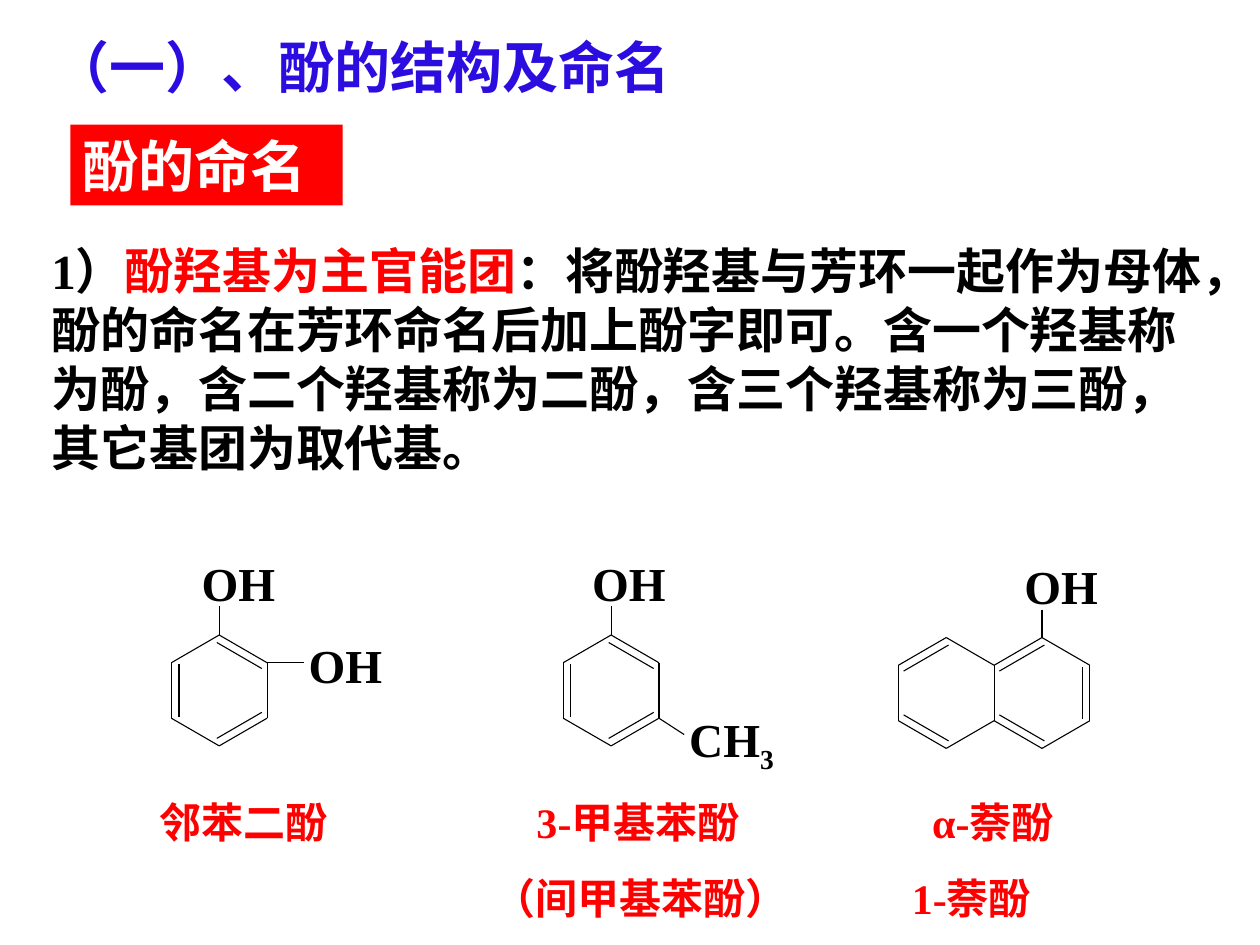
from lxml.etree import SubElement
from pptx import Presentation
from pptx.dml.color import RGBColor
from pptx.enum.shapes import MSO_CONNECTOR as Conn, MSO_SHAPE as Shape
from pptx.enum.text import PP_ALIGN as Align
from pptx.oxml.ns import qn
from pptx.util import Inches, Pt

BLUE = RGBColor(0x2B, 0x0D, 0xDF)
RED = RGBColor(0xFF, 0, 0)
WHITE = RGBColor(0xFF, 0xFF, 0xFF)
BLACK = RGBColor(0, 0, 0)

prs = Presentation()
prs.slide_width, prs.slide_height = Inches(10), Inches(7.5)
slide = prs.slides.add_slide(prs.slide_layouts[6])
shapes = slide.shapes


def style(para, size, color):
    font = para.font
    font.name, font.size, font.bold = "Times New Roman", Pt(size), True
    font.color.rgb = color


def line(x1, y1, x2, y2):
    bond = shapes.add_connector(
        Conn.STRAIGHT, Inches(x1), Inches(y1), Inches(x2), Inches(y2))
    bond.line.color.rgb = BLACK
    bond.line.width = Pt(0.62)
    SubElement(bond._element.spPr, qn("a:effectLst"))


# Title
box = shapes.add_textbox(Inches(0.33), Inches(0.21), Inches(6.08), Inches(0.64))
box.text_frame.word_wrap = True
para = box.text_frame.paragraphs[0]
para.text = "（一）、酚的结构及命名"
para.alignment = Align.JUSTIFY
style(para, 32, BLUE)

# Red heading
head = shapes.add_shape(
    Shape.RECTANGLE, Inches(0.56), Inches(0.99), Inches(2.16), Inches(0.64))
head.shadow.inherit = False
head.fill.solid()
head.fill.fore_color.rgb = RED
head.line.fill.background()
para = head.text_frame.paragraphs[0]
para.text = "酚的命名"
para.alignment = Align.LEFT
style(para, 32, WHITE)

# Naming rule
box = shapes.add_textbox(Inches(0.31), Inches(1.86), Inches(9.33), Inches(1.97))
box.text_frame.word_wrap = True
para = box.text_frame.paragraphs[0]
style(para, 28, BLACK)
for text, color in [
    ("1）", BLACK),
    ("酚羟基为主官能团", RED),
    ("：将酚羟基与芳环一起作为母体，酚的命名在芳环命名后加上酚字即可。"
     "含一个羟基称为酚，含二个羟基称为二酚，含三个羟基称为三酚，"
     "其它基团为取代基。", BLACK),
]:
    run = para.add_run()
    run.text = text
    run.font.color.rgb = color

# Compound names, set on tab stops
box = shapes.add_textbox(Inches(1.08), Inches(6.27), Inches(8), Inches(1.11))
frame = box.text_frame
frame.word_wrap = True
names = [
    [(0.09, "邻苯二酚"), (3.08, "3-甲基苯酚"), (6.22, "α-萘酚")],
    [(2.74, "（间甲基苯酚）"), (6.06, "1-萘酚")],
]
for row, items in enumerate(names):
    para = frame.add_paragraph() if row else frame.paragraphs[0]
    if row:
        para.space_before = Pt(15)
    tabs = SubElement(para._p.get_or_add_pPr(), qn("a:tabLst"))
    for stop, name in items:
        SubElement(tabs, qn("a:tab"), pos=str(Inches(stop)), algn="l")
        para.add_run().text = "\t" + name
    style(para, 24, RED)

# Rings: corners run clockwise from the top, edge n joins corners n and n + 1
corners = [(0, -0.44), (0.38, -0.22), (0.38, 0.22),
           (0, 0.44), (-0.38, 0.22), (-0.38, -0.22)]
rings = [  # centre, edges drawn, double edges
    (1.74, 5.48, range(6), (0, 2, 4)),
    (4.85, 5.48, range(6), (0, 2, 4)),
    (7.51, 5.5, range(6), (3, 5)),
    (8.27, 5.5, (0, 1, 2, 3, 5), (1, 3, 5)),
]
for cx, cy, edges, double in rings:
    for n in edges:
        (ax, ay), (bx, by) = corners[n], corners[(n + 1) % 6]
        line(cx + ax, cy + ay, cx + bx, cy + by)
        if n in double:
            # Inner bond: moved towards the centre and slightly shorter
            mx, my = 0.42 * (ax + bx), 0.42 * (ay + by)
            hx, hy = 0.47 * (bx - ax), 0.47 * (by - ay)
            line(cx + mx - hx, cy + my - hy, cx + mx + hx, cy + my + hy)

# Bonds to the groups
for ends in [(1.74, 4.81, 1.74, 5.04), (2.12, 5.26, 2.41, 5.26),
             (4.85, 4.81, 4.85, 5.04), (5.23, 5.7, 5.43, 5.83),
             (8.27, 4.84, 8.27, 5.06)]:
    line(*ends)

# Group labels
for x, y, wide, text, sub in [
    (1.6, 4.4, 0.65, "OH", ""),
    (2.45, 5.05, 0.65, "OH", ""),
    (4.7, 4.4, 0.65, "OH", ""),
    (5.47, 5.64, 0.87, "CH", "3"),
    (8.13, 4.42, 0.65, "OH", ""),
]:
    box = shapes.add_textbox(Inches(x), Inches(y), Inches(wide), Inches(0.45))
    frame = box.text_frame
    frame.word_wrap = True
    frame.margin_left = frame.margin_right = 0
    frame.margin_top = frame.margin_bottom = 0
    para = frame.paragraphs[0]
    para.text = text
    style(para, 27, BLACK)
    if sub:
        run = para.add_run()
        run.text = sub
        run._r.get_or_add_rPr().set("baseline", "-25000")

prs.save("out.pptx")
